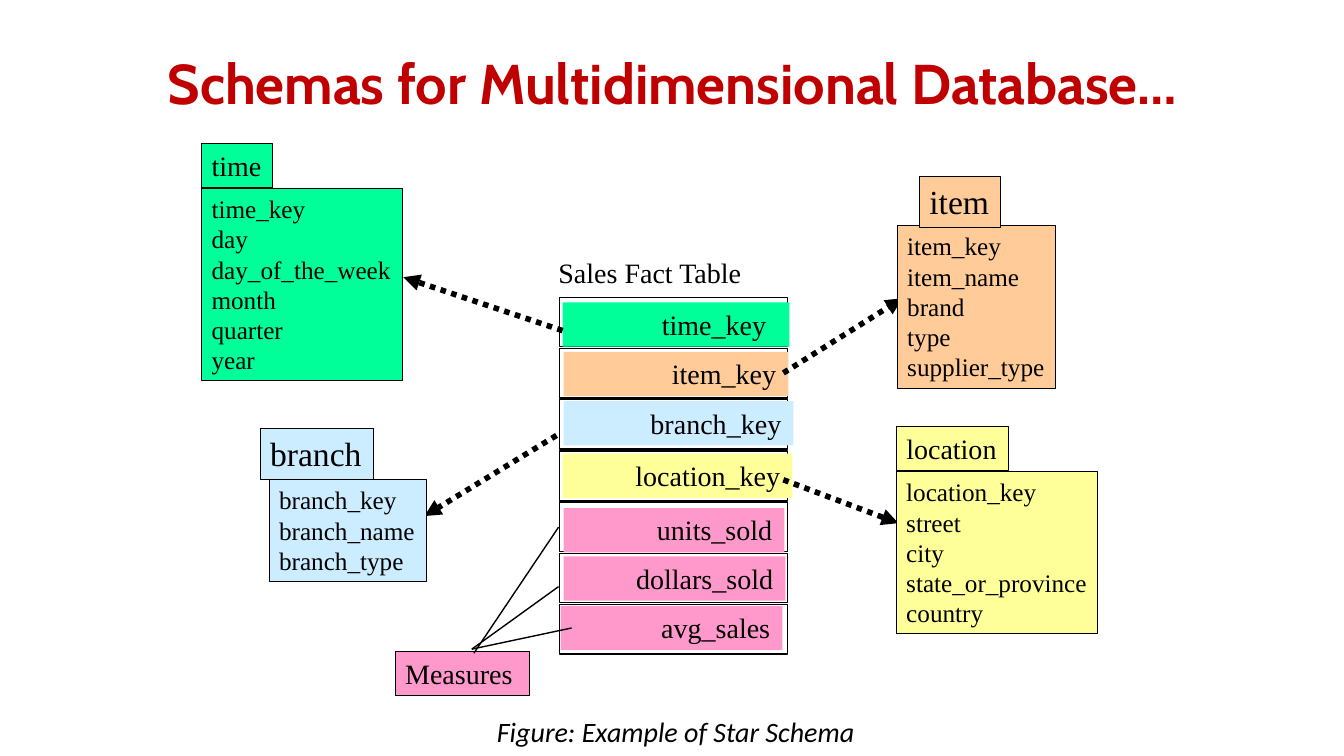
from lxml import etree
from pptx import Presentation
from pptx.dml.color import RGBColor
from pptx.enum.dml import MSO_LINE
from pptx.enum.shapes import MSO_CONNECTOR, MSO_SHAPE
from pptx.enum.text import MSO_ANCHOR, PP_ALIGN
from pptx.oxml.ns import qn
from pptx.util import Inches, Pt

BLACK = RGBColor(0x00, 0x00, 0x00)
RED = RGBColor(0xC0, 0x00, 0x00)
GREEN = RGBColor(0x00, 0xFF, 0x99)
ORANGE = RGBColor(0xFF, 0xCC, 0x99)
BLUE = RGBColor(0xCC, 0xEC, 0xFF)
YELLOW = RGBColor(0xFF, 0xFF, 0x99)
PINK = RGBColor(0xFF, 0x99, 0xCC)


def add_box(shapes, at, lines=(), size=20, fill=None, outline=None,
            align=PP_ALIGN.LEFT, right_inset=0.05):
    box = shapes.add_shape(MSO_SHAPE.RECTANGLE, *map(Inches, at))
    box.shadow.inherit = False
    if fill is None:
        box.fill.background()
    else:
        box.fill.solid()
        box.fill.fore_color.rgb = fill
    if outline is None:
        box.line.fill.background()
    else:
        box.line.color.rgb = BLACK
        box.line.width = Pt(outline)
    frame = box.text_frame
    frame.word_wrap = True
    frame.vertical_anchor = MSO_ANCHOR.TOP
    frame.margin_right = Inches(right_inset)
    frame.text = "\n".join(lines)
    for paragraph in frame.paragraphs:
        paragraph.alignment = align
        paragraph.font.name = "Times New Roman"
        paragraph.font.size = Pt(size)
        paragraph.font.color.rgb = BLACK


def add_line(start, end, width):
    line = slide.shapes.add_connector(
        MSO_CONNECTOR.STRAIGHT, *map(Inches, start + end))
    line.line.color.rgb = BLACK
    line.line.width = Pt(width)
    etree.SubElement(line._element.spPr, qn("a:effectLst"))
    return line


prs = Presentation()
prs.slide_width = Inches(13.33)
prs.slide_height = Inches(7.5)
slide = prs.slides.add_slide(prs.slide_layouts[5])

# Heading
heading = slide.shapes.title
heading.left, heading.top = Inches(0.92), Inches(0.33)
heading.width, heading.height = Inches(11.5), Inches(0.81)
heading.text_frame.text = "Schemas for Multidimensional Database…"
heading.text_frame.vertical_anchor = MSO_ANCHOR.TOP
heading_line = heading.text_frame.paragraphs[0]
heading_line.alignment = PP_ALIGN.CENTER
heading_line.line_spacing = 1.15
heading_line.font.name = "Cabin"
heading_line.font.size = Pt(40)
heading_line.font.bold = True
heading_line.font.color.rgb = RED

# Fact table: an outlined row behind each coloured field
add_box(slide.shapes, (5.44, 2.49, 2.03, 0.44), ["Sales Fact Table"])
ROW_TOP, ROW_STEP = 2.95, 0.508
facts = [  # field, colour, left, top, width, right inset
    ("time_key", GREEN, 5.58, 3.0, 2.25, 0.23),
    ("item_key", ORANGE, 5.59, 3.49, 2.23, 0.12),
    ("branch_key", BLUE, 5.59, 3.98, 2.28, 0.12),
    ("location_key", YELLOW, 5.58, 4.5, 2.28, 0.12),
    ("units_sold", PINK, 5.59, 5.04, 2.19, 0.12),
    ("dollars_sold", PINK, 5.59, 5.52, 2.2, 0.12),
    ("avg_sales", PINK, 5.56, 6.01, 2.2, 0.12),
]
for row, (field, color, left, top, width, inset) in enumerate(facts):
    add_box(slide.shapes, (5.55, ROW_TOP + row * ROW_STEP, 2.26, 0.49), outline=1)
    add_box(slide.shapes, (left, top, width, 0.44), [field], fill=color,
            align=PP_ALIGN.RIGHT, right_inset=inset)

# Measures and the lines to their fields
add_box(slide.shapes, (3.92, 6.46, 1.33, 0.44), ["Measures"], fill=PINK, outline=0.75)
for start, end in [((4.7, 6.48), (5.54, 5.23)),
                   ((4.68, 6.44), (5.54, 5.82)),
                   ((4.68, 6.44), (5.67, 6.23))]:
    add_line(start, end, 1)

# Dotted arrows from the keys to the dimensions
for start, end in [((5.52, 4.32), (4.21, 5.12)),
                   ((5.58, 3.28), (4.0, 2.75)),
                   ((7.77, 4.76), (8.91, 5.19)),
                   ((7.77, 3.7), (8.95, 2.96))]:
    arrow = add_line(start, end, 4)
    arrow.line.dash_style = MSO_LINE.ROUND_DOT
    etree.SubElement(arrow.line._get_or_add_ln(), qn("a:tailEnd"), type="triangle")

# Dimension tables: field list with a name tab above
dimensions = [
    ("time", 20, GREEN, (2.0, 1.42, 0.7, 0.44), (2.0, 1.87, 1.99, 1.91),
     ["time_key", "day", "day_of_the_week", "month", "quarter", "year"]),
    ("location", 20, YELLOW, (8.89, 4.23, 1.11, 0.44), (8.89, 4.68, 2.0, 1.61),
     ["location_key", "street", "city", "state_or_province", "country"]),
    ("item", 24, ORANGE, (9.12, 1.75, 0.8, 0.51), (8.9, 2.24, 1.57, 1.61),
     ["item_key", "item_name", "brand", "type", "supplier_type"]),
    ("branch", 24, BLUE, (2.58, 4.25, 1.12, 0.51), (2.67, 4.76, 1.56, 1.01),
     ["branch_key", "branch_name", "branch_type"]),
]
for name, name_size, color, name_at, fields_at, fields in dimensions:
    dimension = slide.shapes.add_group_shape()
    add_box(dimension.shapes, fields_at, fields, 18, color, 0.75)
    add_box(dimension.shapes, name_at, [name], name_size, color, 0.75)

# Caption
caption = slide.shapes.add_textbox(Inches(4.83), Inches(7), Inches(8.5), Inches(0.55))
caption.text_frame.word_wrap = True
caption.text_frame.vertical_anchor = MSO_ANCHOR.MIDDLE
caption.text_frame.text = "Figure: Example of Star Schema"
caption_line = caption.text_frame.paragraphs[0]
caption_line.line_spacing = 0.9
caption_line.font.name = "Calibri"
caption_line.font.size = Pt(20)
caption_line.font.italic = True
caption_line.font.color.rgb = BLACK

prs.save("out.pptx")
